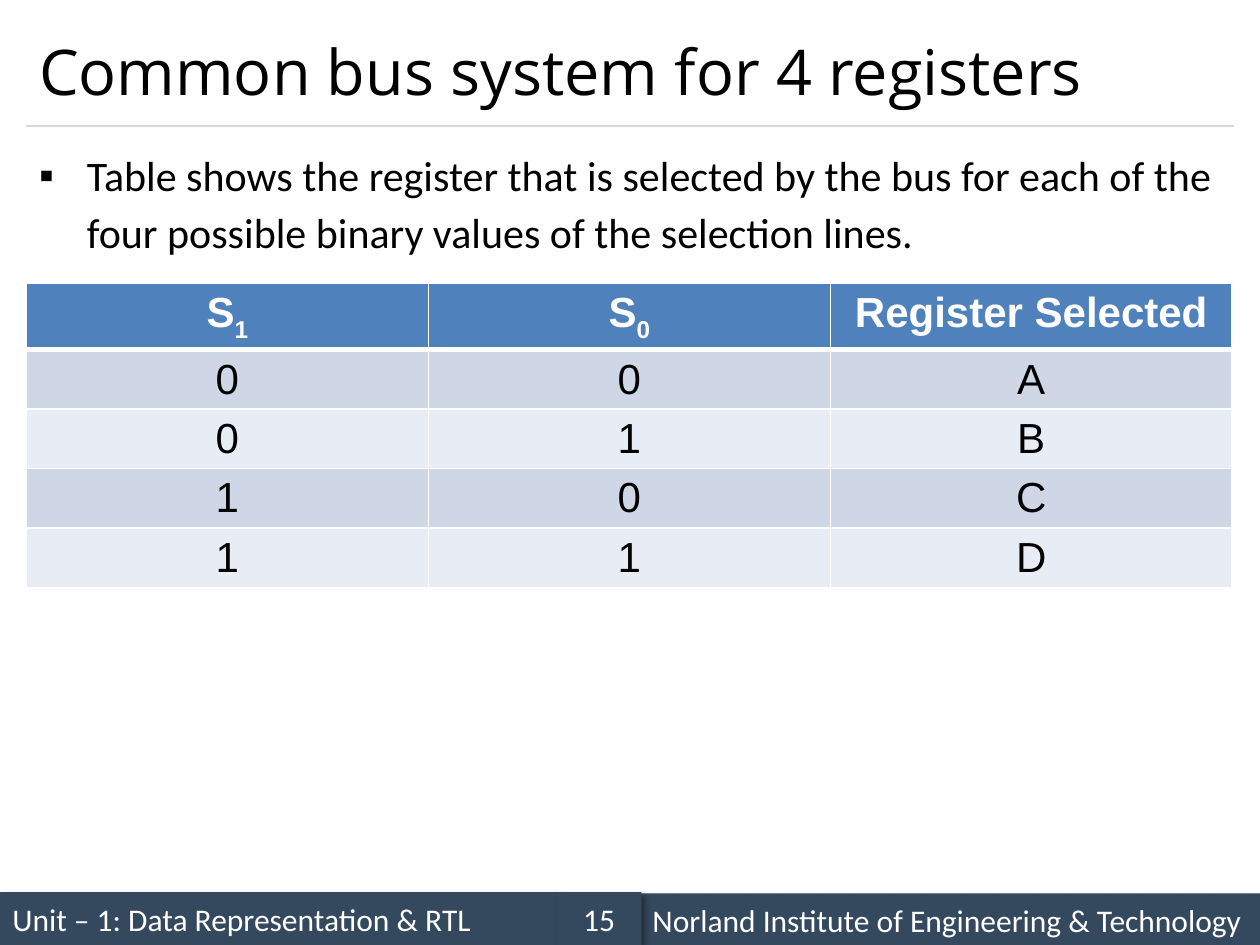
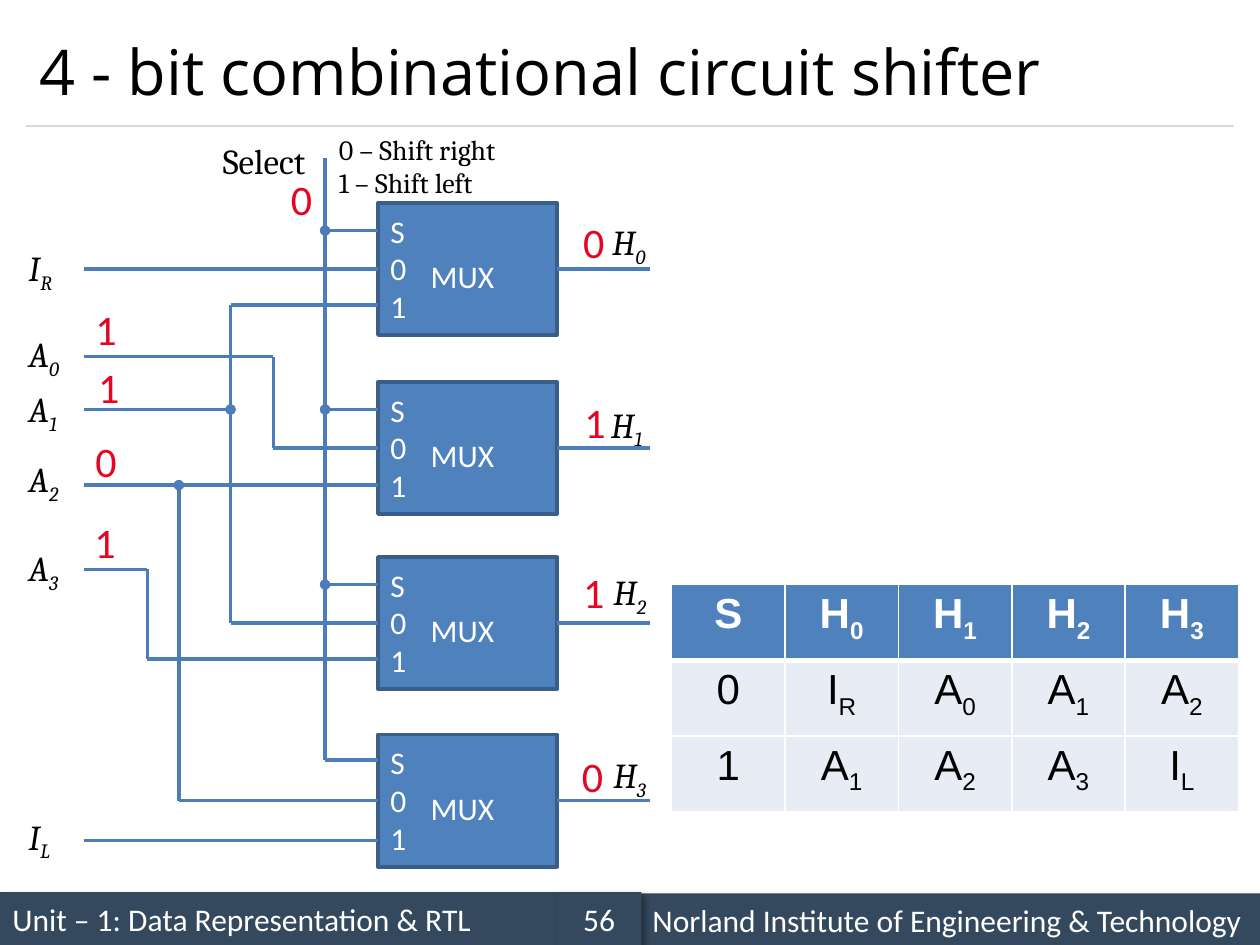
import lxml.etree
import pptx
import pptx.dml.color
import pptx.enum.shapes
import pptx.enum.text
import pptx.oxml.ns
import pptx.util

Inches = pptx.util.Inches
Pt = pptx.util.Pt
ALIGN = pptx.enum.text.PP_ALIGN
ANCHOR = pptx.enum.text.MSO_ANCHOR
RECTANGLE = pptx.enum.shapes.MSO_SHAPE.RECTANGLE
STRAIGHT = pptx.enum.shapes.MSO_CONNECTOR.STRAIGHT

WHITE, BLACK, RED = "FFFFFF", "000000", "E40524"
BAND, RULE = "34495E", "D8D8D8"
BLUE, BLUE_EDGE, WIRE = "4F81BD", "395E89", "4A7DBA"
ROW_DARK, ROW_LIGHT = "CFD7E7", "E8ECF4"
LEFT_SIDE, RIGHT_SIDE = 1, 3


def color(value):
    return pptx.dml.color.RGBColor.from_string(value)


def add_xml(parent, tag, **attributes):
    return lxml.etree.SubElement(parent, pptx.oxml.ns.qn(tag), attributes)


class SlideBuilder:
    """Holds the shared style and the slide being built."""

    def __init__(self, deck):
        self.deck = deck
        self.slide = None

    def start(self, layout, title, number):
        self.slide = self.deck.slides.add_slide(self.deck.slide_layouts[layout])
        self.band(0, 7.08, 4.42, "Unit – 1: Data Representation & RTL")
        self.line((0.21, 1), (9.79, 1), RULE, 0.75)
        self.band(5.08, 7.09, 4.92, "Norland Institute of Engineering & Technology")
        self.band(4.42, 7.08, 0.67, str(number), ALIGN.CENTER)
        box = self.slide.shapes.title
        self.place(box, 0.21, 0.12, 9.58, 0.88)
        box.text_frame.vertical_anchor = ANCHOR.MIDDLE
        self.add_lines(box.text_frame, [title], 36, "Open Sans")

    def place(self, box, left, top, width, height):
        box.left, box.top = Inches(left), Inches(top)
        box.width, box.height = Inches(width), Inches(height)
        box.text_frame.auto_size = pptx.enum.text.MSO_AUTO_SIZE.NONE

    def add_lines(self, frame, lines, size, font, ink=BLACK, align=ALIGN.LEFT,
                  bold=False, italic=False):
        for index, line in enumerate(lines):
            para = frame.add_paragraph() if index else frame.paragraphs[0]
            para.alignment = align
            for position, piece in enumerate(line.split("_")):
                span = para.add_run()
                span.text = piece
                span.font.size = Pt(size)
                span.font.name = font
                span.font.bold = bold
                span.font.italic = italic
                span.font.color.rgb = color(ink)
                if position:
                    span.font._element.set("baseline", "-25000")

    def rectangle(self, left, top, width, height, fill, edge=None):
        box = self.slide.shapes.add_shape(
            RECTANGLE, Inches(left), Inches(top), Inches(width), Inches(height))
        box.shadow.inherit = False
        box.fill.solid()
        box.fill.fore_color.rgb = color(fill)
        if edge:
            box.line.color.rgb = color(edge)
            box.line.width = Pt(2)
        else:
            box.line.fill.background()
        return box

    def band(self, left, top, width, text, align=ALIGN.LEFT):
        box = self.rectangle(left, top, width, 0.42, BAND)
        effects = box._element.spPr.find(pptx.oxml.ns.qn("a:effectLst"))
        shadow = add_xml(effects, "a:outerShdw", blurRad=str(Pt(4)),
                         dist=str(Pt(3)), dir="2700000", algn="tl", rotWithShape="0")
        shade = add_xml(shadow, "a:srgbClr", val=BLACK)
        add_xml(shade, "a:alpha", val="40000")
        box.text_frame.word_wrap = True
        box.text_frame.vertical_anchor = ANCHOR.MIDDLE
        self.add_lines(box.text_frame, [text], 18, "Calibri", WHITE, align)

    def bullets(self, lines):
        box = self.slide.placeholders[1]
        self.place(box, 0.21, 1.08, 9.58, 5.83)
        self.add_lines(box.text_frame, lines, 24, "Calibri")
        for para in box.text_frame.paragraphs:
            para.line_spacing = 1.14
            para.space_before = Pt(0)
            settings = para._p.get_or_add_pPr()
            settings.set("marL", str(Inches(0.38)))
            settings.set("indent", str(Inches(-0.38)))
            add_xml(add_xml(settings, "a:buClr"), "a:srgbClr", val=BLACK)
            add_xml(settings, "a:buChar", char="▪")

    def label(self, left, top, width, height, lines, size, font="Cambria", **style):
        box = self.slide.shapes.add_textbox(
            Inches(left), Inches(top), Inches(width), Inches(height))
        box.text_frame.word_wrap = False
        self.add_lines(box.text_frame, lines, size, font, **style)

    def symbol(self, left, top, text):
        self.label(left, top, 0.5, 0.44, [text], 20, italic=True)

    def bit(self, left, top, text):
        self.label(left, top, 0.37, 0.5, [text], 24, "Calibri", ink=RED)

    def line(self, start, end, ink=WIRE, width=2, head=None, tail=None):
        connector = self.slide.shapes.add_connector(
            STRAIGHT, *(Inches(value) for value in (*start, *end)))
        connector.line.color.rgb = color(ink)
        connector.line.width = Pt(width)
        stroke = connector.line._get_or_add_ln()
        if head:
            add_xml(stroke, "a:headEnd", type=head)
        if tail:
            add_xml(stroke, "a:tailEnd", type=tail)
        add_xml(connector._element.spPr, "a:effectLst")
        return connector

    def route(self, *points, target=None, head=None):
        for index, (start, end) in enumerate(zip(points, points[1:])):
            connector = self.line(start, end, head=None if index else head)
        if target is not None:
            connector.end_connect(target, LEFT_SIDE)

    def mux(self, top):
        box = self.rectangle(3, top, 1.42, 1.05, BLUE, BLUE_EDGE)
        style = {"font": "Calibri", "ink": WHITE, "align": ALIGN.CENTER}
        self.label(3, top + 0.02, 0.27, 1.01, ["S", "0", "1"], 18, **style)
        self.label(2.96, top + 0.38, 1.42, 0.42, ["MUX"], 18, **style)
        return box

    def table(self, left, top, column_width, row_height, rows, fills):
        frame = self.slide.shapes.add_table(
            len(rows), len(rows[0]), Inches(left), Inches(top),
            Inches(column_width * len(rows[0])), Inches(row_height * len(rows)))
        for column in frame.table.columns:
            column.width = Inches(column_width)
        for number, values in enumerate(rows):
            header = number == 0
            for cell, value in zip(frame.table.rows[number].cells, values):
                self.borders(cell, 3 if number == 1 else 1, 3 if header else 1)
                cell.fill.solid()
                cell.fill.fore_color.rgb = color(
                    BLUE if header else fills[(number - 1) % len(fills)])
                self.add_lines(cell.text_frame, [value], 24, "Arial",
                               WHITE if header else BLACK, ALIGN.CENTER, bold=header)

    def borders(self, cell, top, bottom):
        settings = cell._tc.get_or_add_tcPr()
        for side, width in (("L", 1), ("R", 1), ("T", top), ("B", bottom)):
            edge = add_xml(settings, "a:ln" + side, w=str(Pt(width)))
            add_xml(add_xml(edge, "a:solidFill"), "a:srgbClr", val=WHITE)


def build_bus_slide(builder):
    builder.start(1, "Common bus system for 4 registers", 15)
    builder.bullets(["Table shows the register that is selected by the bus for each of "
                     "the four possible binary values of the selection lines."])
    rows = [("S_1", "S_0", "Register Selected"),
            ("0", "0", "A"), ("0", "1", "B"), ("1", "0", "C"), ("1", "1", "D")]
    builder.table(0.21, 2.25, 3.19, 0.41, rows, [ROW_DARK, ROW_LIGHT])


def build_shifter_slide(builder):
    builder.start(5, "4 - bit combinational circuit shifter", 56)
    tops = [1.61, 3.03, 4.42, 5.83]
    muxes = [builder.mux(top) for top in tops]
    middles = [top + 1.05 / 2 for top in tops]

    select_x, select_end, wire_x, mux_x = 2.58, 6.03, 0.67, 3
    builder.route((select_x, 1.25), (select_x, select_end), (mux_x, select_end))
    for y in (1.83, 3.25, 4.64):
        builder.line((select_x, y), (mux_x, y), head="oval")

    builder.route((wire_x, middles[0]), (mux_x, middles[0]), target=muxes[0])
    builder.route((wire_x, 2.83), (2.17, 2.83), (2.17, middles[1]),
                  (mux_x, middles[1]), target=muxes[1])
    builder.route((mux_x, 2.42), (1.83, 2.42), (1.83, middles[2]),
                  (mux_x, middles[2]), target=muxes[2])
    builder.line((wire_x, 3.25), (1.83, 3.25), tail="oval")
    builder.line((wire_x, 3.85), (mux_x, 3.85))
    builder.route((1.42, 3.85), (1.42, middles[3]), (mux_x, middles[3]),
                  target=muxes[3], head="oval")
    builder.route((wire_x, 4.52), (1.17, 4.52), (1.17, 5.23), (mux_x, 5.23))
    builder.line((wire_x, 6.67), (mux_x, 6.67))
    for box, middle in zip(muxes, middles):
        builder.line((4.42, middle), (5.16, middle)).begin_connect(box, RIGHT_SIDE)

    inputs = [("I_R", 1.91), ("A_0", 2.59), ("A_1", 3.03), ("A_2", 3.58),
              ("A_3", 4.29), ("I_L", 6.42)]
    for name, top in inputs:
        builder.symbol(0.13, top, name)
    for index, (left, top) in enumerate([(4.76, 1.7), (4.75, 3.15),
                                         (4.77, 4.48), (4.77, 5.93)]):
        builder.symbol(left, top, f"H_{index}")
    builder.label(1.67, 1.06, 0.91, 0.44, ["Select"], 20)
    builder.label(2.59, 1, 1.49, 0.64, ["0 – Shift right", "1 – Shift left"], 16)

    rows = [("S", "H_0", "H_1", "H_2", "H_3"),
            ("0", "I_R", "A_0", "A_1", "A_2"),
            ("1", "A_1", "A_2", "A_3", "I_L")]
    builder.table(5.33, 4.64, 0.9, 0.6, rows, [ROW_LIGHT])

    bits = [(2.21, 1.33, "0"), (0.66, 2.36, "1"), (0.68, 2.82, "1"),
            (0.66, 3.41, "0"), (0.65, 4.05, "1"), (4.53, 1.67, "0"),
            (4.54, 3.1, "1"), (4.53, 4.45, "1"), (4.52, 5.91, "0")]
    for left, top, value in bits:
        builder.bit(left, top, value)


def main():
    deck = pptx.Presentation()
    deck.slide_width, deck.slide_height = Inches(10), Inches(7.5)
    builder = SlideBuilder(deck)
    build_bus_slide(builder)
    build_shifter_slide(builder)
    deck.save("out.pptx")


if __name__ == "__main__":
    main()
